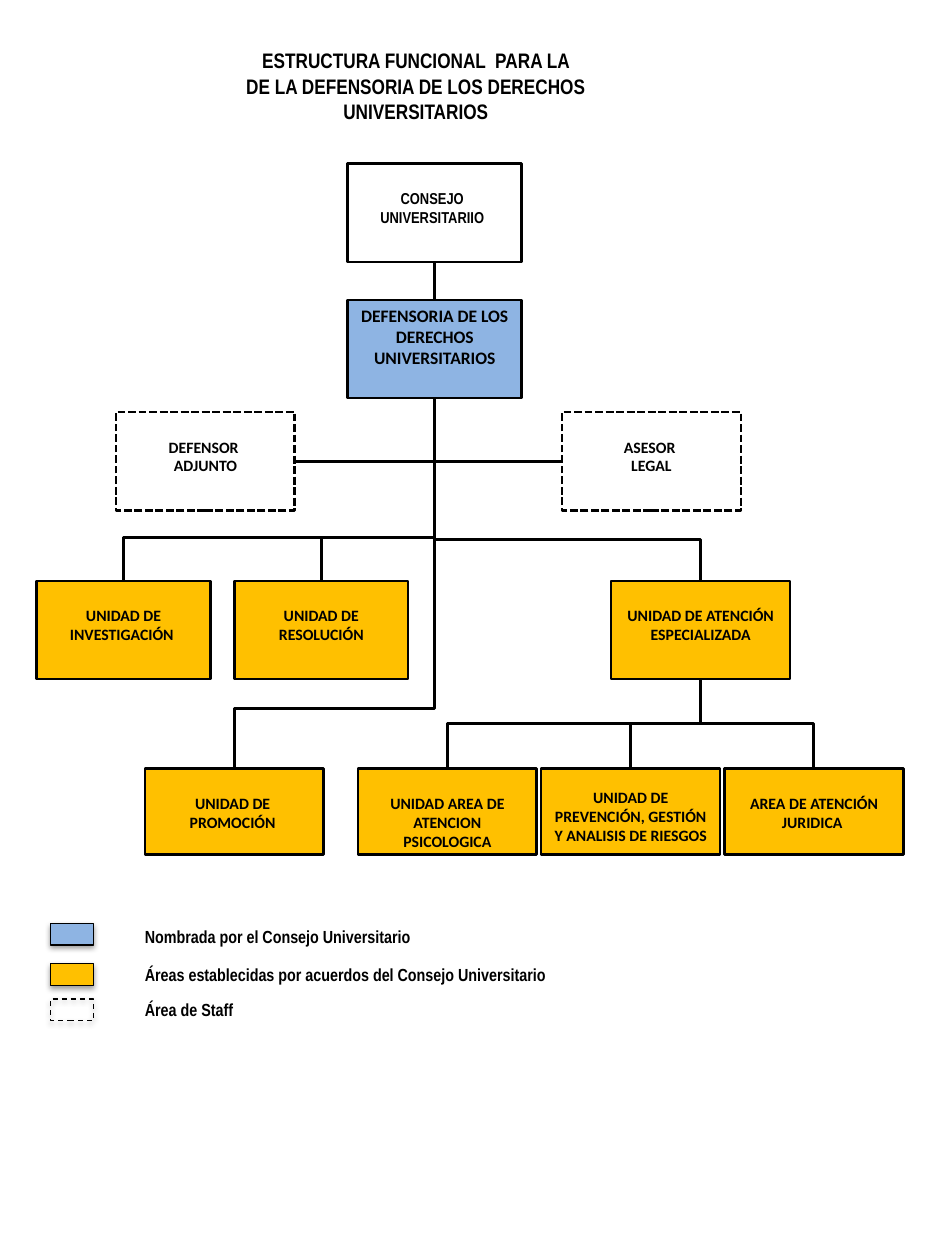
import pptx
import pptx.util
import pptx.dml.color
import pptx.enum.dml
import pptx.enum.shapes
import pptx.enum.text
import pptx.oxml
import pptx.oxml.ns
import lxml.etree

Inches = pptx.util.Inches
Pt = pptx.util.Pt
SHAPE = pptx.enum.shapes.MSO_SHAPE
LINE = pptx.enum.shapes.MSO_CONNECTOR
DASH = pptx.enum.dml.MSO_LINE
ALIGN = pptx.enum.text.PP_ALIGN
ANCHOR = pptx.enum.text.MSO_ANCHOR
qn = pptx.oxml.ns.qn

COLORS = {"ink": "000000", "council": "8EB4E3", "unit": "FFC000"}
TOP, LEFT, BOTTOM, RIGHT = range(4)
SHADOW = (
    '<a:effectLst %s><a:outerShdw blurRad="40000" dist="20000" dir="5400000" '
    'rotWithShape="0"><a:srgbClr val="000000"><a:alpha val="38000"/></a:srgbClr>'
    "</a:outerShdw></a:effectLst>" % pptx.oxml.ns.nsdecls("a")
)


def rgb(name):
    return pptx.dml.color.RGBColor.from_string(COLORS[name])


def write(tf, lines, size, font, insets, align):
    """Fill a text frame with one bold paragraph per line, from the top."""
    tf.word_wrap = True
    tf.auto_size = pptx.enum.text.MSO_AUTO_SIZE.NONE
    tf.vertical_anchor = ANCHOR.TOP
    tf.margin_left, tf.margin_top, tf.margin_right, tf.margin_bottom = map(Inches, insets)
    for i, line in enumerate(lines):
        p = tf.add_paragraph() if i else tf.paragraphs[0]
        p.alignment = align
        r = p.add_run()
        r.text = line
        r.font.size = Pt(size)
        r.font.name = font
        r.font.bold = True
        r.font.color.rgb = rgb("ink")


def add_rect(s, x, y, w, h, fill=None, width=1.5, dash=None, kind=SHAPE.RECTANGLE):
    sp = s.shapes.add_shape(kind, Inches(x), Inches(y), Inches(w), Inches(h))
    sp.shadow.inherit = False
    if fill:
        sp.fill.solid()
        sp.fill.fore_color.rgb = rgb(fill)
    else:
        sp.fill.background()
    sp.line.color.rgb = rgb("ink")
    sp.line.width = Pt(width)
    if dash:
        sp.line.dash_style = dash
    return sp


def add_box(s, x, y, w, h, lines, fill="unit", size=9, font="Calibri",
            insets=(0.1, 0.2, 0.1, 0), **style):
    sp = add_rect(s, x, y, w, h, fill, **style)
    write(sp.text_frame, lines, size, font, insets, ALIGN.CENTER)
    return sp


def join(s, kind, a, a_side, b, b_side, width):
    c = s.shapes.add_connector(kind, 0, 0, 0, 0)
    c.begin_connect(a, a_side)
    c.end_connect(b, b_side)
    c.line.color.rgb = rgb("ink")
    c.line.width = Pt(width)
    lxml.etree.SubElement(c._element.spPr, qn("a:effectLst"))
    return c


def add_branch(s, parent, child, bend):
    """Elbow from parent's bottom to child's top, turning at a share of the drop."""
    c = join(s, LINE.ELBOW, parent, BOTTOM, child, TOP, 1.75)
    x1, y1, x2, y2 = c.begin_x, c.begin_y, c.end_x, c.end_y
    drop, run = y2 - y1, abs(x2 - x1)
    c.left, c.top = (x1 + x2 - drop) // 2, (y1 + y2 - run) // 2
    c.width, c.height = drop, run
    xfrm = c._element.spPr.find(qn("a:xfrm"))
    for flip in ("flipH", "flipV"):
        xfrm.attrib.pop(flip, None)
    xfrm.set("rot", str((90 if x2 < x1 else 270) * 60000))
    if x2 > x1:
        xfrm.set("flipH", "1")
    geom = c._element.spPr.find(qn("a:prstGeom"))
    geom.set("prst", "bentConnector3")
    av = geom.find(qn("a:avLst"))
    if av is None:
        av = lxml.etree.SubElement(geom, qn("a:avLst"))
    lxml.etree.SubElement(av, qn("a:gd"), name="adj1", fmla=f"val {round(bend * 100000)}")


def add_title(s, x, y, w, h):
    sp = s.shapes.title
    sp.left, sp.top, sp.width, sp.height = map(Inches, (x, y, w, h))
    lines = ["ESTRUCTURA FUNCIONAL  PARA LA ", "DE LA DEFENSORIA DE LOS DERECHOS ",
             "UNIVERSITARIOS "]
    write(sp.text_frame, lines, 12, "Arial Narrow", (0.1, 0.05, 0.1, 0.05), ALIGN.CENTER)


def add_chart_of_units(s, x, y):
    """Organisation chart whose top left corner is at x, y."""
    narrow, wide, tall, low = 1.38, 1.42, 0.78, 0.68
    council = add_box(s, x + 2.47, y, narrow, tall, ["CONSEJO UNIVERSITARIIO"], None,
                      font="Arial Narrow", insets=(0.04, 0.2, 0.08, 0.04),
                      kind=SHAPE.FLOWCHART_PROCESS)
    office = add_box(s, x + 2.47, y + 1.08, narrow, tall,
                     ["DEFENSORIA DE LOS DERECHOS UNIVERSITARIOS"], "council", 10,
                     insets=(0.1, 0.04, 0.1, 0.05))
    deputy, adviser = [
        add_box(s, x + dx, y + 1.97, wide, tall, lines, None, dash=DASH.SQUARE_DOT)
        for dx, lines in ((0.63, ["DEFENSOR ", "ADJUNTO"]), (4.17, ["ASESOR ", "LEGAL"]))
    ]
    research, resolution, care = [
        add_box(s, x + dx, y + 3.31, w, tall, [text])
        for dx, w, text in (
            (0, narrow, "UNIDAD DE INVESTIGACIÓN "),
            (1.57, narrow, "UNIDAD DE RESOLUCIÓN"),
            (4.56, wide, "UNIDAD DE ATENCIÓN ESPECIALIZADA"))
    ]
    promotion = add_box(s, x + 0.86, y + 4.8, wide, low, ["UNIDAD DE ", "PROMOCIÓN "])
    areas = [
        add_box(s, x + 2.55 + i * 1.455, y + 4.8, wide, low, [text], insets=(0.1, top, 0.1, 0))
        for i, (text, top) in enumerate((
            ("UNIDAD AREA DE ATENCION PSICOLOGICA", 0.2),
            ("UNIDAD DE PREVENCIÓN, GESTIÓN Y ANALISIS DE RIESGOS", 0.15),
            ("AREA DE ATENCIÓN JURIDICA ", 0.2)))
    ]
    join(s, LINE.STRAIGHT, council, BOTTOM, office, TOP, 1.5)
    join(s, LINE.STRAIGHT, deputy, RIGHT, adviser, LEFT, 1.75)
    for child, bend in ((research, 0.764), (resolution, 0.764), (care, 0.772),
                        (promotion, 0.839)):
        add_branch(s, office, child, bend)
    for area in areas:
        add_branch(s, care, area, 0.5)


def add_legend(s, x, y):
    rows = [
        (0, 0.1, 2.36, "council", None, "Nombrada por el Consejo Universitario"),
        (0.3, 0.42, 3.86, "unit", None,
         "Áreas establecidas por acuerdos del Consejo Universitario"),
        (0.58, 0.7, 3.86, None, DASH.DASH, "Área de Staff"),
    ]
    for label_y, swatch_y, w, fill, dash, text in rows:
        swatch = add_rect(s, x, y + swatch_y, 0.34, 0.17, fill, 0.75, dash)
        effects = swatch._element.spPr.find(qn("a:effectLst"))
        effects.getparent().replace(effects, pptx.oxml.parse_xml(SHADOW))
        label = s.shapes.add_textbox(Inches(x + 0.75), Inches(y + label_y),
                                     Inches(w), Inches(0.42))
        write(label.text_frame, [text], 10, "Arial Narrow", (0, 0.12, 0.25, 0.12), ALIGN.LEFT)


def main():
    prs = pptx.Presentation()
    prs.slide_width, prs.slide_height = Inches(7.5), Inches(10)
    s = prs.slides.add_slide(prs.slide_layouts[5])
    add_title(s, 0.81, 0.33, 5.02, 0.71)
    add_chart_of_units(s, 0.29, 1.3)
    add_legend(s, 0.4, 7.23)
    prs.save("out.pptx")


if __name__ == "__main__":
    main()
